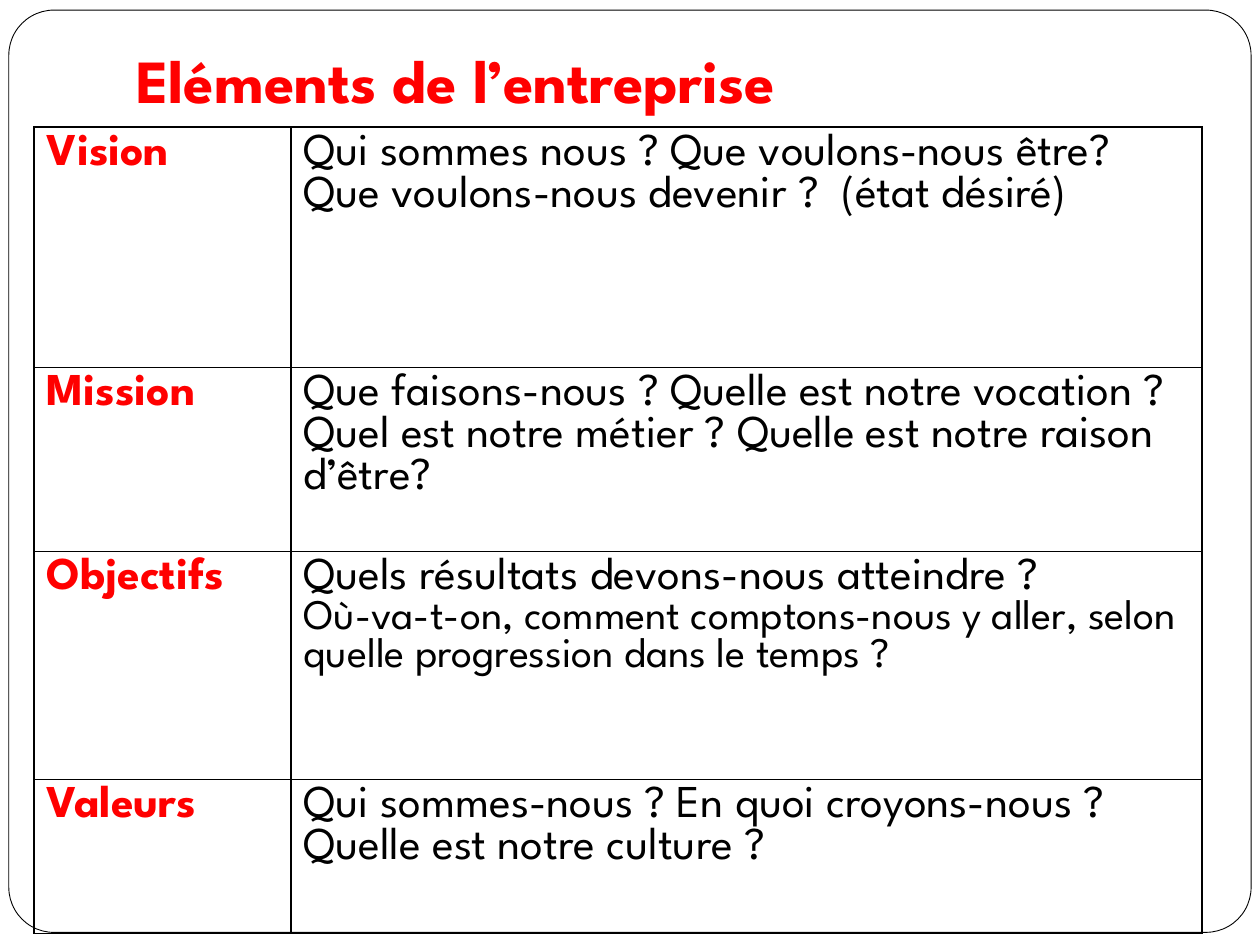
from dataclasses import dataclass

from lxml import etree
from pptx import Presentation, util as u
from pptx.dml.color import RGBColor
from pptx.enum import shapes, text
from pptx.oxml import ns


@dataclass(frozen=True)
class Theme:
    """Colours, font and type sizes of the slide."""
    accent: RGBColor = RGBColor(255, 0, 0)
    ink: RGBColor = RGBColor(0, 0, 0)
    paper: RGBColor = RGBColor(255, 255, 255)
    font: str = "League Spartan"
    title: int = 35
    body: int = 26
    detail: int = 24
    hairline: float = 0.5
    border: int = 1


THEME = Theme()
WIDTH, HEIGHT = 10, 7.5
FRAME_BOX = (0.07, 0.08, 9.86, 7.32)
TITLE_BOX = (0.98, 0.55, 6.68, 0.47)
TABLE_BOX = (0.27, 1.01, 9.27, 6.4)
COLUMN_SHARES = (0.22, 0.78)
ROW_SHARES = (0.298, 0.228, 0.283, 0.191)
ELEMENTS = [
    ("Vision ", ["Qui sommes nous ? Que voulons-nous être? "
                 "Que voulons-nous devenir ?  (état désiré)"]),
    ("Mission", ["Que faisons-nous ? Quelle est notre vocation ? "
                 "Quel est notre métier ? Quelle est notre raison d’être? "]),
    ("Objectifs", ["Quels résultats devons-nous atteindre ?",
                   "Où-va-t-on, comment comptons-nous y aller, "
                   "selon quelle progression dans le temps ?"]),
    ("Valeurs ", ["Qui sommes-nous ? En quoi croyons-nous ? "
                  "Quelle est notre culture ?"]),
]


def add_run(paragraph, words, size, color, bold=False):
    """Add one formatted run to a left-aligned paragraph."""
    paragraph.alignment = text.PP_ALIGN.LEFT
    run = paragraph.add_run()
    run.text = words
    run.font.name, run.font.size, run.font.bold = THEME.font, u.Pt(size), bold
    run.font.color.rgb = color


def set_borders(cell):
    """Draw a thin solid line on all four sides of a cell."""
    properties = cell._tc.get_or_add_tcPr()
    for position, side in enumerate(("lnL", "lnR", "lnT", "lnB")):
        line = etree.Element(ns.qn("a:" + side), w=str(u.Pt(THEME.border)))
        fill = etree.SubElement(line, ns.qn("a:solidFill"))
        etree.SubElement(fill, ns.qn("a:srgbClr"), val=str(THEME.ink))
        properties.insert(position, line)


def add_frame(slide, box):
    """Place the rounded page frame behind everything else."""
    frame = slide.shapes.add_shape(
        shapes.MSO_SHAPE.ROUNDED_RECTANGLE, *map(u.Inches, box))
    frame.adjustments[0] = 0.049
    frame.shadow.inherit = False
    frame.fill.solid()
    frame.fill.fore_color.rgb = THEME.paper
    frame.line.color.rgb = THEME.ink
    frame.line.width = u.Pt(THEME.hairline)
    slide.shapes.title.element.addprevious(frame.element)


def set_title(slide, box, words):
    """Move, format and fill the title placeholder."""
    title = slide.shapes.title
    title.left, title.top, title.width, title.height = map(u.Inches, box)
    frame = title.text_frame
    frame.word_wrap = True
    frame.auto_size = text.MSO_AUTO_SIZE.NONE
    frame.vertical_anchor = text.MSO_ANCHOR.BOTTOM
    frame.margin_left = frame.margin_right = frame.margin_bottom = u.Inches(0.1)
    frame.margin_top = u.Inches(0.05)
    add_run(frame.paragraphs[0], words, THEME.title, THEME.accent, True)


def fill_cell(cell, lines, color, bold):
    """Write the lines of a cell; those after the first are smaller."""
    cell.fill.background()
    set_borders(cell)
    cell.margin_left = cell.margin_right = u.Inches(0.1)
    cell.margin_top = cell.margin_bottom = u.Inches(0.05)
    cell.vertical_anchor = text.MSO_ANCHOR.TOP
    for index, words in enumerate(lines):
        paragraph = (cell.text_frame.add_paragraph() if index
                     else cell.text_frame.paragraphs[0])
        add_run(paragraph, words, THEME.detail if index else THEME.body, color, bold)


def add_elements_table(slide, box, elements):
    """Place the table of company elements and their questions."""
    table = slide.shapes.add_table(
        len(elements), len(COLUMN_SHARES), *map(u.Inches, box)).table
    table.first_row = table.horz_banding = False
    for column, share in zip(table.columns, COLUMN_SHARES):
        column.width = u.Inches(box[2] * share)
    for row, share, (name, questions) in zip(table.rows, ROW_SHARES, elements):
        row.height = u.Inches(box[3] * share)
        fill_cell(row.cells[0], [name], THEME.accent, True)
        fill_cell(row.cells[1], questions, THEME.ink, False)


def main():
    """Build and save the presentation."""
    presentation = Presentation()
    presentation.slide_width = u.Inches(WIDTH)
    presentation.slide_height = u.Inches(HEIGHT)
    title_only = presentation.slide_layouts.get_by_name("Title Only")
    slide = presentation.slides.add_slide(title_only)
    add_frame(slide, FRAME_BOX)
    set_title(slide, TITLE_BOX, "Eléments de l’entreprise")
    add_elements_table(slide, TABLE_BOX, ELEMENTS)
    presentation.save("out.pptx")


main()
